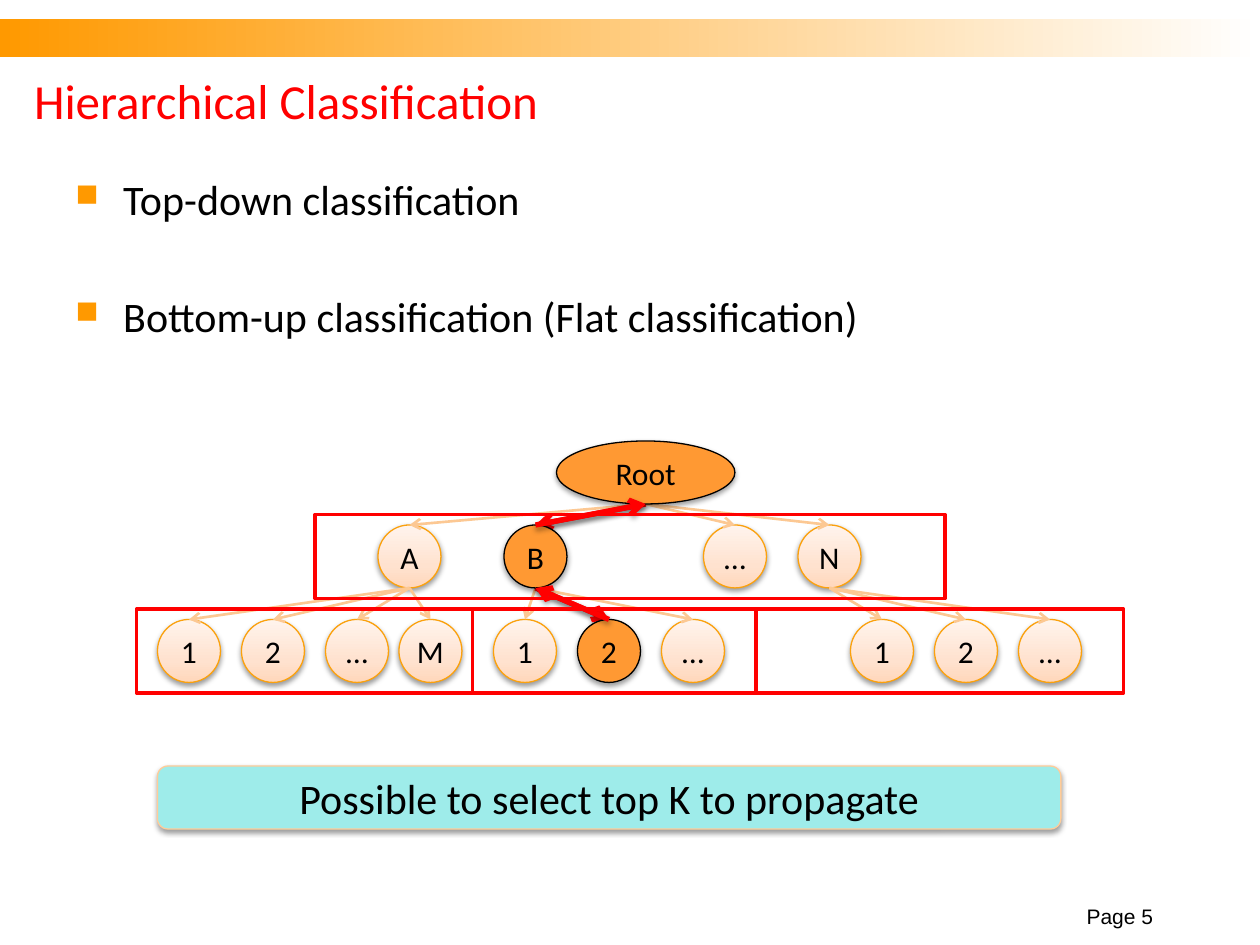
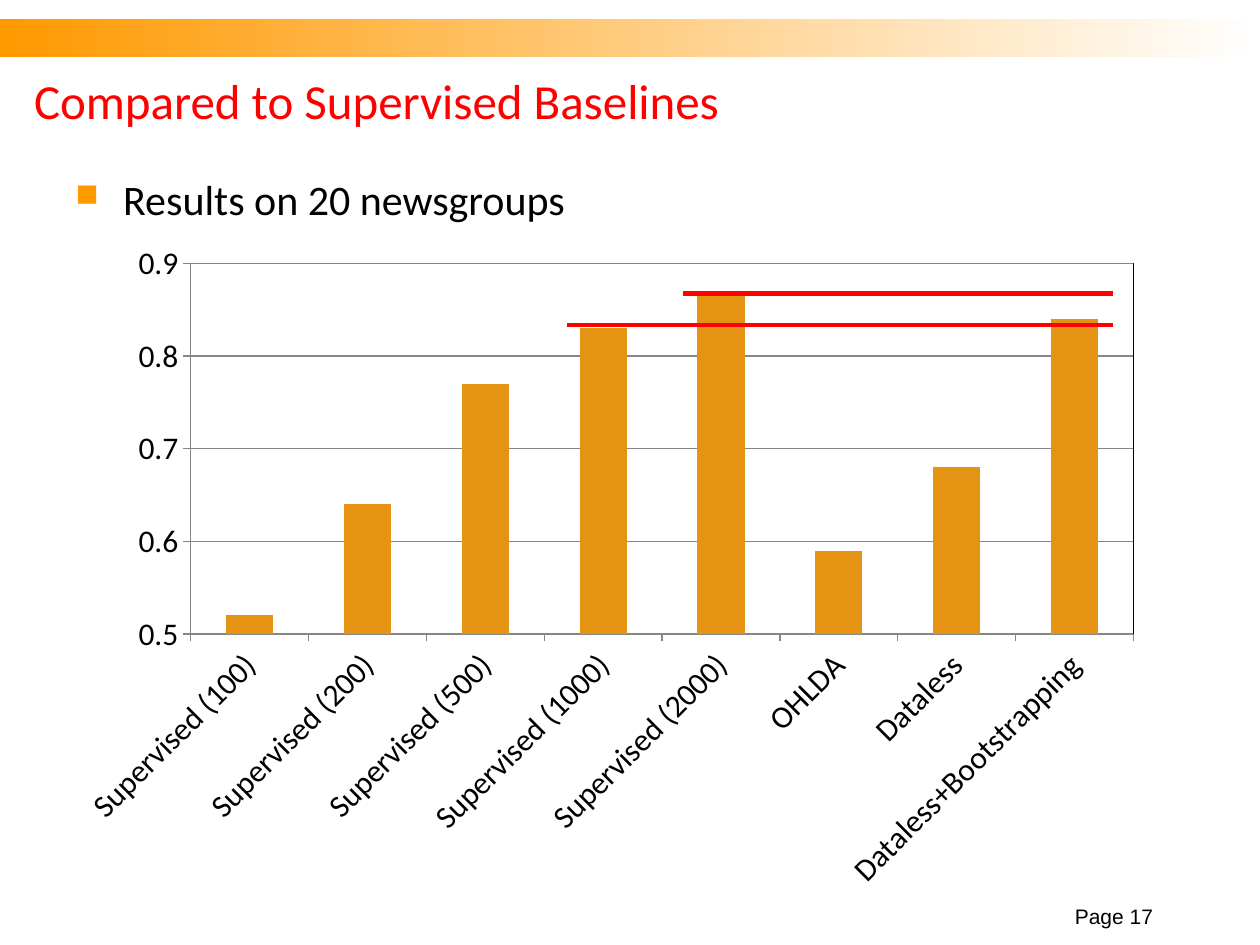
"""Build two slides: a classification tree and a chart of supervised baselines."""
from dataclasses import dataclass

from pptx import Presentation
from pptx.chart.data import CategoryChartData
from pptx.dml.color import RGBColor
from pptx.enum.chart import XL_CHART_TYPE, XL_TICK_MARK
from pptx.enum.shapes import MSO_CONNECTOR, MSO_SHAPE
from pptx.enum.text import MSO_ANCHOR, PP_ALIGN
from pptx.oxml import parse_xml
from pptx.oxml.ns import nsdecls, qn
from pptx.util import Inches, Pt

TREE_SLIDE = {
    "title": "Hierarchical Classification",
    "page": 5,
    "bullets": [
        "Top-down classification",
        "Bottom-up classification (Flat classification)",
    ],
    "callout": "Possible to select top K to propagate",
}
CHART_SLIDE = {
    "title": "Compared to Supervised Baselines",
    "page": 17,
    "bullets": ["Results on 20 newsgroups"],
}
RESULTS = {
    "Supervised (100)": 0.52,
    "Supervised (200)": 0.64,
    "Supervised (500)": 0.77,
    "Supervised (1000)": 0.83,
    "Supervised (2000)": 0.87,
    "OHLDA": 0.59,
    "Dataless": 0.68,
    "Dataless+Bootstrapping": 0.84,
}
REFERENCE_LINES = [(4.5, 2.58), (5.42, 2.33)]
REFERENCE_END = 8.83

UNITS_PER_INCH = 12
NODE_SIZE = 6
ROOT = ("Root", 61.5)
ROOT_WIDTH = 17
LEVEL_TOPS = (42, 50, 59)
LEAF_STEP = 8
BRANCHES = [
    ("A", 39, [("1", 18), ("2", 26), ("…", 34), ("M", 41)]),
    ("B", 51, [(label, 50 + LEAF_STEP * i) for i, label in enumerate("12…")]),
    ("…", 70, []),
    ("N", 79, [(label, 84 + LEAF_STEP * i) for i, label in enumerate("12…")]),
]
CHOSEN = [(0, 61.5), (1, 51), (2, 58)]
FRAMES = [(30, 49, 60, 8), (45, 58, 27, 8), (13, 58, 94, 8)]


@dataclass(frozen=True)
class Theme:
    """Colours, fonts and type sizes."""
    accent: str = "FF9900"
    red: str = "FF0000"
    black: str = "000000"
    grey: str = "868686"
    node_line: str = "FBA10D"
    chosen: str = "FF9933"
    link: str = "FCC893"
    callout: str = "9EECEA"
    callout_line: str = "FFCC99"
    bar: str = "E49412"
    band_stops: tuple = ((0, "FF9900"), (100, "FFFFFF"))
    node_stops: tuple = ((0, "FFD7BB"), (35, "FFE2CF"), (100, "FFF4ED"))
    font: str = "Calibri"
    footer_font: str = "Arial"
    title_size: int = 28
    body_size: int = 24
    label_size: int = 18
    footer_size: int = 12


THEME = Theme()


def apply(target, values):
    """Set every named attribute on the target."""
    for name, value in values.items():
        setattr(target, name, value)


def style_font(font, size, color=THEME.black, name=THEME.font):
    """Give a font its face, size and colour."""
    apply(font, {"name": name, "size": Pt(size), "bold": False})
    font.color.rgb = RGBColor.from_string(color)


def style_line(line, color, width):
    """Give a line its colour and width."""
    line.color.rgb = RGBColor.from_string(color)
    line.width = Pt(width)


def place(values):
    """Turn inches into a list of lengths."""
    return [Inches(value) for value in values]


def write(shape, text, size, align=PP_ALIGN.CENTER, anchor=MSO_ANCHOR.MIDDLE,
          wrap=True, **look):
    """Write one formatted paragraph into a shape."""
    frame = shape.text_frame
    apply(frame, {"word_wrap": wrap, "vertical_anchor": anchor})
    para = frame.paragraphs[0]
    para.alignment = align
    span = para.add_run()
    span.text = text
    style_font(span.font, size, **look)


def fill_gradient(shape, stops, angle):
    """Fill a shape with a linear gradient."""
    shape.fill.gradient()
    marks = "".join(
        f'<a:gs pos="{share * 1000}"><a:srgbClr val="{color}"/></a:gs>'
        for share, color in stops)
    properties = shape._element.spPr
    properties.replace(properties.find(qn("a:gradFill")), parse_xml(
        f'<a:gradFill {nsdecls("a")} rotWithShape="1"><a:gsLst>{marks}</a:gsLst>'
        f'<a:lin ang="{angle * 60000}" scaled="0"/></a:gradFill>'))


def set_effects(shape, opacity=0, distance=1.6):
    """Replace the theme shadow by a soft one, or by none."""
    shadow = (
        f'<a:outerShdw blurRad="{Pt(3.1)}" dist="{Pt(distance)}" dir="5400000" '
        f'rotWithShape="0"><a:srgbClr val="{THEME.black}">'
        f'<a:alpha val="{opacity * 1000}"/></a:srgbClr></a:outerShdw>'
        if opacity else "")
    shape._element.spPr.append(
        parse_xml(f'<a:effectLst {nsdecls("a")}>{shadow}</a:effectLst>'))


def add_block(page, kind, bounds, fill=None, line=None, width=0.75, shadow=0):
    """Add a preset shape with a solid, gradient or empty fill."""
    shape = page.shapes.add_shape(kind, *place(bounds))
    if fill is None:
        shape.fill.background()
    elif isinstance(fill, str):
        shape.fill.solid()
        shape.fill.fore_color.rgb = RGBColor.from_string(fill)
    else:
        fill_gradient(shape, *fill)
    if line:
        style_line(shape.line, line, width)
    else:
        shape.line.fill.background()
    set_effects(shape, shadow)
    return shape


def add_line(page, start, end, color, width, arrow=False, shadow=0):
    """Add a straight line, with an arrowhead at its end if wanted."""
    line = page.shapes.add_connector(MSO_CONNECTOR.STRAIGHT, *place(start + end))
    style_line(line.line, color, width)
    if arrow:
        line.line._get_or_add_ln().append(
            parse_xml(f'<a:tailEnd {nsdecls("a")} type="arrow"/>'))
    set_effects(line, shadow, 1.8)
    return line


def add_bullets(page, bullets):
    """Add the bulleted text under the title."""
    box = page.shapes.add_textbox(*place((0.5, 1.33, 9, 1.92 if len(bullets) > 1 else 0.5)))
    frame = box.text_frame
    frame.word_wrap = True
    for index, text in enumerate(bullets):
        para = frame.paragraphs[0] if index == 0 else frame.add_paragraph()
        properties = para._p.get_or_add_pPr()
        apply(para, {"space_before": Pt(38 if index else 0)})
        for name, value in {"marL": Inches(0.38), "indent": -Inches(0.38)}.items():
            properties.set(name, str(value))
        for mark in (f'<a:buClr {nsdecls("a")}><a:srgbClr val="{THEME.accent}"/></a:buClr>',
                     f'<a:buSzPct {nsdecls("a")} val="75000"/>',
                     f'<a:buChar {nsdecls("a")} char="■"/>'):
            properties.append(parse_xml(mark))
        span = para.add_run()
        span.text = text
        style_font(span.font, THEME.body_size)


def add_page(deck, content):
    """Add a slide with its band, title, page number and bullets."""
    page = deck.slides.add_slide(deck.slide_layouts[5])
    add_block(page, MSO_SHAPE.RECTANGLE, (0, 0.15, 10, 0.3), (THEME.band_stops, 0))
    title = page.shapes.title
    apply(title, dict(zip(("left", "top", "width", "height"), place((0.17, 0.5, 9, 0.58)))))
    write(title, content["title"], THEME.title_size, PP_ALIGN.LEFT, color=THEME.red)
    footer = page.shapes.add_textbox(*place((8.25, 7.17, 1, 0.25)))
    write(footer, f"Page {content['page']}", THEME.footer_size, PP_ALIGN.RIGHT,
          MSO_ANCHOR.BOTTOM, name=THEME.footer_font)
    add_bullets(page, content["bullets"])
    return page


def on_grid(*units):
    """Turn tree grid units into inches."""
    return tuple(unit / UNITS_PER_INCH for unit in units)


def add_node(page, level, label, center):
    """Add one labelled tree node."""
    width = NODE_SIZE if level else ROOT_WIDTH
    bounds = on_grid(center - width / 2, LEVEL_TOPS[level], width, NODE_SIZE)
    chosen = (level, center) in CHOSEN
    node = add_block(page, MSO_SHAPE.OVAL, bounds,
                     THEME.chosen if chosen else (THEME.node_stops, 270),
                     THEME.black if chosen else THEME.node_line, shadow=38)
    write(node, label, THEME.label_size, wrap=False)
    return node


def add_tree(page):
    """Draw the nodes, their links, the chosen route and the frames."""
    nodes, links = {(0, ROOT[1]): add_node(page, 0, *ROOT)}, []
    for label, center, leaves in BRANCHES:
        nodes[1, center] = add_node(page, 1, label, center)
        links.append(((0, ROOT[1]), (1, center)))
        for leaf, spot in leaves:
            nodes[2, spot] = add_node(page, 2, leaf, spot)
            links.append(((1, center), (2, spot)))

    def ends(parent, child):
        return (on_grid(parent[1], LEVEL_TOPS[parent[0]] + NODE_SIZE),
                on_grid(child[1], LEVEL_TOPS[child[0]]))

    for parent, child in links:
        line = add_line(page, *ends(parent, child), THEME.link, 1.5, True)
        line.end_connect(nodes[child], 0)
    route = list(zip(CHOSEN, CHOSEN[1:]))
    red_arrow = {"color": THEME.red, "width": 3, "arrow": True, "shadow": 35}
    for parent, child in route:
        line = add_line(page, *ends(parent, child), **red_arrow)
        line.end_connect(nodes[child], 0)
    for spot in CHOSEN:
        page.shapes._spTree.append(nodes[spot]._element)
    for parent, child in route:
        bottom, top = ends(parent, child)
        line = add_line(page, top, bottom, **red_arrow)
        line.begin_connect(nodes[child], 0)
    for frame in FRAMES:
        add_block(page, MSO_SHAPE.RECTANGLE, on_grid(*frame), line=THEME.red, width=2)


def add_results(page):
    """Add the column chart of results."""
    data = CategoryChartData()
    data.categories = list(RESULTS)
    data.add_series("Series 1", list(RESULTS.values()))
    chart = page.shapes.add_chart(XL_CHART_TYPE.COLUMN_CLUSTERED,
                                  *place((0.5, 1.83, 8.67, 5.33)), data).chart
    apply(chart, {"has_legend": False, "has_title": False})
    style_font(chart.font, THEME.label_size)
    plot = chart.plots[0]
    apply(plot, {"vary_by_categories": False, "gap_width": 150})
    fill = plot.series[0].format.fill
    fill.solid()
    fill.fore_color.rgb = RGBColor.from_string(THEME.bar)
    values, categories = chart.value_axis, chart.category_axis
    apply(values, {"minimum_scale": 0.5, "maximum_scale": 0.9, "major_unit": 0.1,
                   "has_major_gridlines": True})
    apply(values.tick_labels, {"number_format": "General", "number_format_is_linked": False})
    for axis in (values, categories):
        axis.major_tick_mark = XL_TICK_MARK.OUTSIDE
        style_line(axis.format.line, THEME.grey, 0.75)
        style_font(axis.tick_labels.font, THEME.label_size)
    style_line(values.major_gridlines.format.line, THEME.grey, 0.75)
    categories._element.find(qn("c:txPr")).find(qn("a:bodyPr")).set("rot", "-2700000")
    area = chart._chartSpace.chart.plotArea
    for old in area.findall(qn("c:layout")):
        area.remove(old)
    shares = "".join(f'<c:{name} val="{share}"/>' for name, share in
                     {"x": 0.117, "y": 0.049, "w": 0.863, "h": 0.552}.items())
    area.insert(0, parse_xml(
        f'<c:layout {nsdecls("c")}><c:manualLayout><c:layoutTarget val="inner"/>'
        f'<c:xMode val="edge"/><c:yMode val="edge"/>{shares}</c:manualLayout></c:layout>'))
    area.append(parse_xml(
        f'<c:spPr {nsdecls("c", "a")}><a:noFill/><a:ln w="{Pt(0.75)}"><a:solidFill>'
        f'<a:srgbClr val="{THEME.black}"/></a:solidFill></a:ln></c:spPr>'))


def main():
    """Build and save the deck."""
    deck = Presentation()
    apply(deck, {"slide_width": Inches(10), "slide_height": Inches(7.5)})
    page = add_page(deck, TREE_SLIDE)
    add_tree(page)
    callout = add_block(page, MSO_SHAPE.ROUNDED_RECTANGLE, (1.25, 6.08, 7.17, 0.5),
                        THEME.callout, THEME.callout_line, shadow=38)
    write(callout, TREE_SLIDE["callout"], THEME.body_size)
    page = add_page(deck, CHART_SLIDE)
    add_results(page)
    for start, height in REFERENCE_LINES:
        add_line(page, (start, height), (REFERENCE_END, height), THEME.red, 2.5)
    deck.save("out.pptx")


if __name__ == "__main__":
    main()
